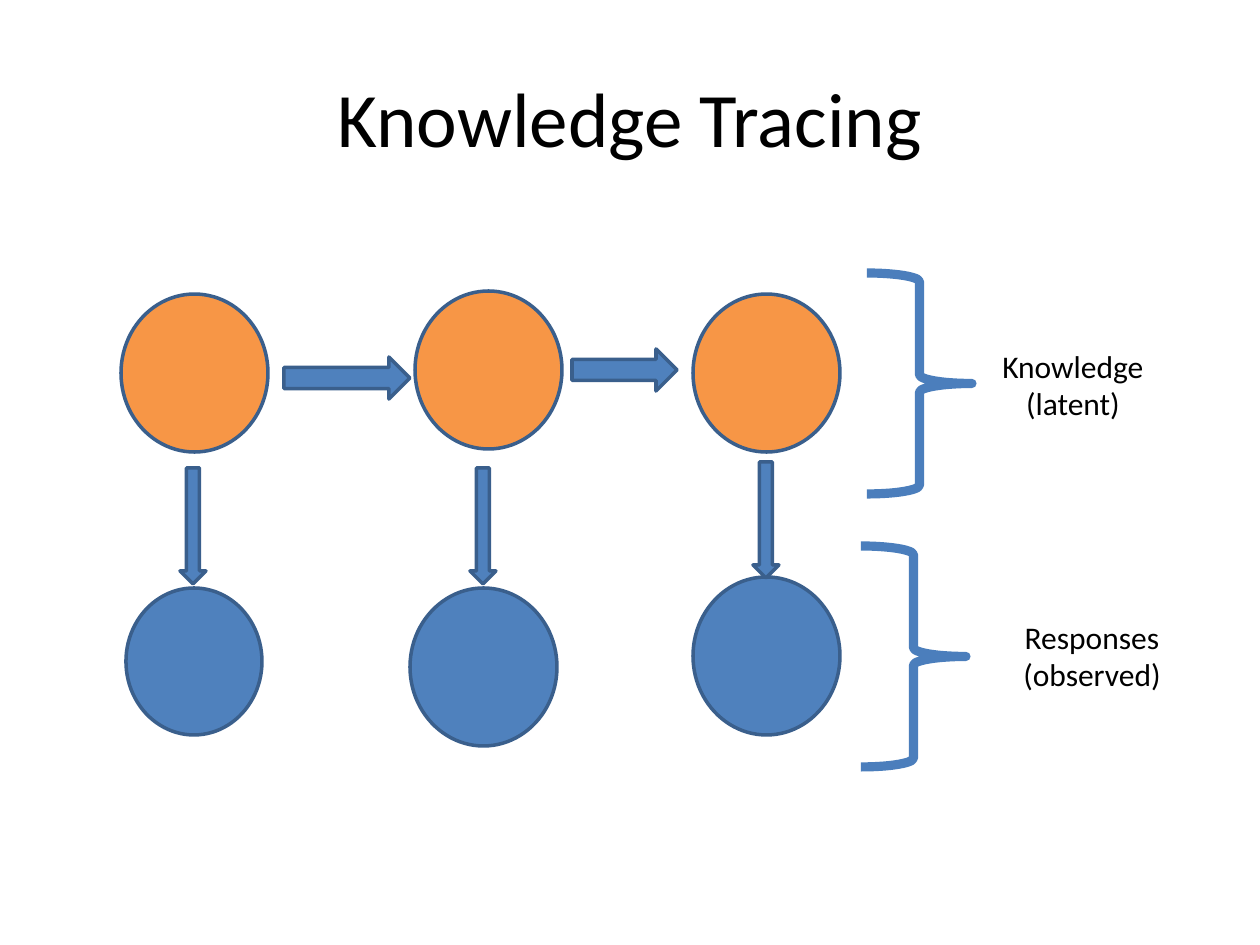
from lxml import etree
from pptx import Presentation
from pptx.dml.color import RGBColor
from pptx.enum import shapes, text
from pptx.util import Pt

EMU_PER_PX = 914400 // 126
FONT = "Calibri"
BLACK = RGBColor(0x00, 0x00, 0x00)
BLUE = RGBColor(0x4F, 0x81, 0xBD)
ORANGE = RGBColor(0xF7, 0x96, 0x46)
OUTLINE = RGBColor(0x3A, 0x5F, 0x8C)
BRACE = RGBColor(0x4B, 0x7E, 0xBC)
KIND = shapes.MSO_SHAPE


def px(*lengths):
    return [round(n * EMU_PER_PX) for n in lengths]


def add_shape(slide, kind, box, fill, line=OUTLINE, width=2):
    sp = slide.shapes.add_shape(kind, *px(*box))
    sp.shadow.inherit = False
    if fill is None:
        sp.fill.background()
    else:
        sp.fill.solid()
        sp.fill.fore_color.rgb = fill
    sp.line.color.rgb = line
    sp.line.width = Pt(width)
    return sp


def add_label(slide, box, words, size):
    sp = slide.shapes.add_textbox(*px(*box))
    tf = sp.text_frame
    tf.word_wrap = True
    tf.vertical_anchor = text.MSO_ANCHOR.MIDDLE
    tf.text = words
    for p in tf.paragraphs:
        p.alignment = text.PP_ALIGN.CENTER
        for r in p.runs:
            r.font.name = FONT
            r.font.size = Pt(size)
            r.font.color.rgb = BLACK
    return sp


def main():
    prs = Presentation()
    prs.slide_width, prs.slide_height = px(1260, 945)
    slide = prs.slides.add_slide(prs.slide_layouts[6])

    # Title
    add_label(slide, (63, 38, 1134, 158), "Knowledge Tracing", 44)

    # Response nodes
    for box in ((126, 588, 136, 147), (410, 588, 147, 158),
                (693, 577, 147, 158)):
        add_shape(slide, KIND.OVAL, box, BLUE)

    # Knowledge nodes
    for x, y in ((121, 294), (415, 291), (693, 294)):
        add_shape(slide, KIND.OVAL, (x, y, 147, 158), ORANGE)

    # Arrows between knowledge nodes
    for x, y, w in ((284, 357, 126), (572, 349, 105)):
        add_shape(slide, KIND.RIGHT_ARROW, (x, y, w, 42), BLUE)

    # Arrows from knowledge to responses
    for x, y in ((180, 468), (470, 468), (753, 462)):
        add_shape(slide, KIND.DOWN_ARROW, (x, y, 26, 116), BLUE)

    # Braces and their labels
    for x, y, box, words in (
        (867, 273, (971, 340, 204, 89), "Knowledge\n(latent)"),
        (861, 546, (1008, 611, 168, 89), "Responses\n(observed)"),
    ):
        add_shape(slide, KIND.RIGHT_BRACE, (x, y, 105, 221), None, BRACE, 5.25)
        add_label(slide, box, words, 18)

    prs.save("out.pptx")


main()
